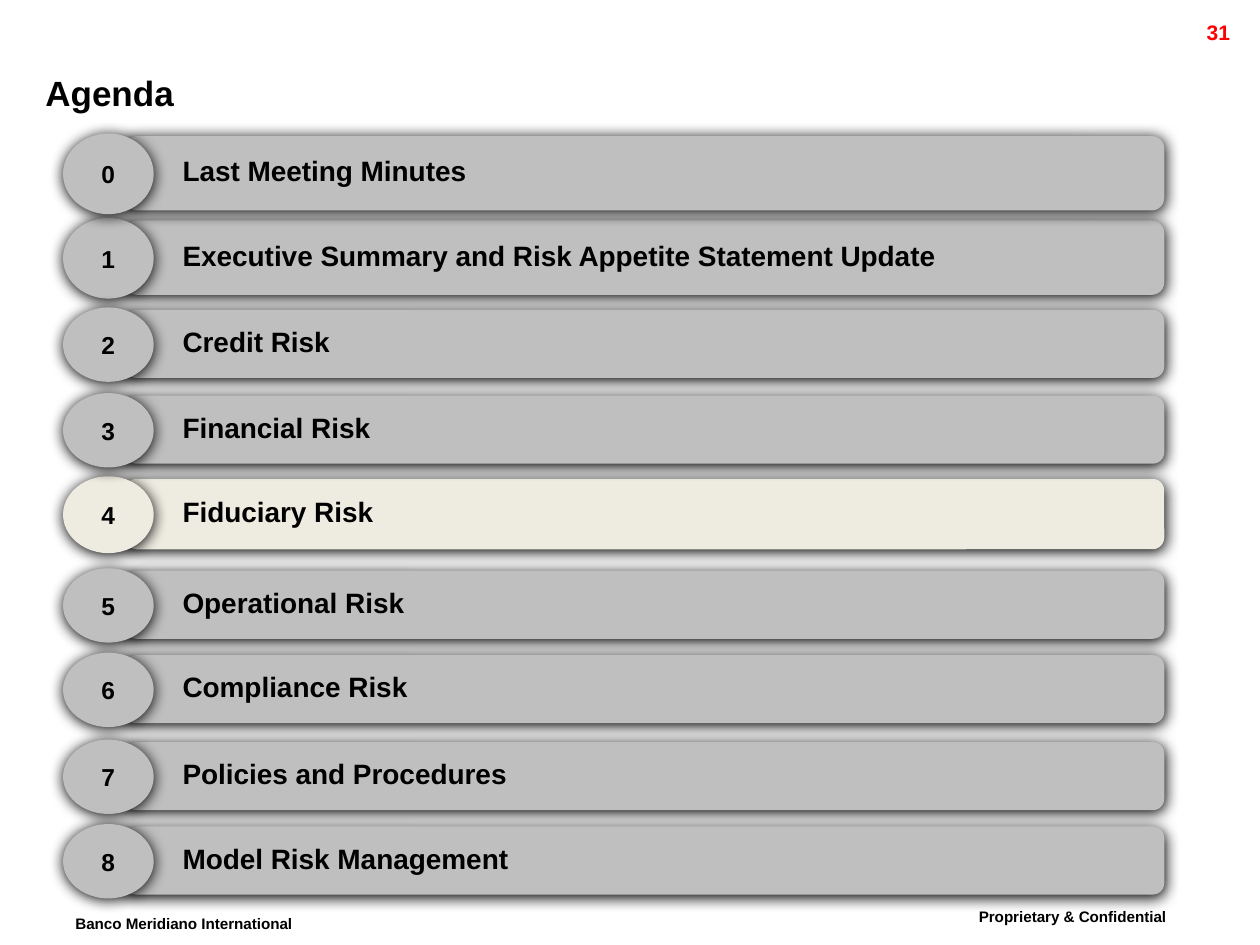
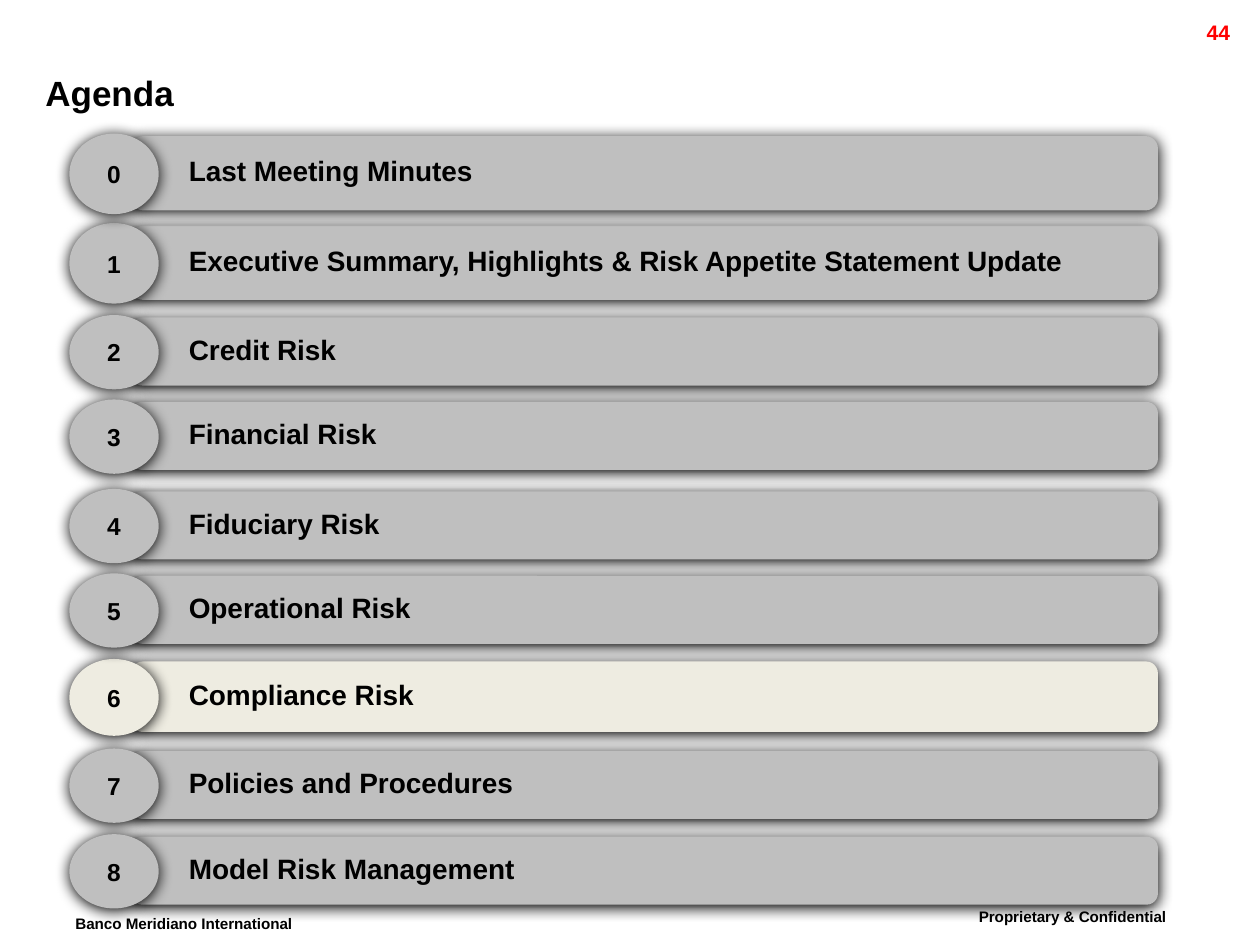
"""Build two agenda slides, each with its current topic highlighted."""
from dataclasses import dataclass

from lxml import etree
from pptx import Presentation
from pptx.dml.color import RGBColor
from pptx.enum.shapes import MSO_SHAPE
from pptx.enum.text import MSO_ANCHOR, PP_ALIGN
from pptx.oxml.ns import qn
from pptx.slide import Slide
from pptx.util import Inches, Pt

BAR, OVAL = MSO_SHAPE.ROUNDED_RECTANGLE, MSO_SHAPE.OVAL
TOP, MIDDLE = MSO_ANCHOR.TOP, MSO_ANCHOR.MIDDLE
LEFT, CENTER, RIGHT = PP_ALIGN.LEFT, PP_ALIGN.CENTER, PP_ALIGN.RIGHT

COLORS = {"text": "000000", "page": "FF0000", "topic": "BFBFBF",
          "current": "EEECE1", "shadow": "000000"}
FONT = {"name": "Arial", "bold": True}
SIZES = {"title": 20, "label": 16, "number": 14, "page": 12, "footer": 15}
SHADOW = {"blurRad": Pt(8.5), "dist": Pt(1), "dir": 90 * 60000,
          "algn": "ctr", "rotWithShape": 0}
MARGINS = ("margin_left", "margin_top", "margin_right", "margin_bottom")

TALL, CURRENT, NORMAL = 0.59, 0.56, 0.54
OVAL_RISE, OVAL_EXTRA = 0.02, 0.05
BAR_OFFSET, LABEL_OFFSET = 0.49, 0.85
NUMBER_HEIGHT = 0.32


@dataclass(frozen=True)
class Box:
    left: float
    top: float
    width: float
    height: float

    def emu(self) -> list[int]:
        return [Inches(v) for v in (self.left, self.top, self.width, self.height)]


@dataclass(frozen=True)
class Agenda:
    page: str
    left: float
    oval_width: float
    bar_width: float
    current: int
    summary: str
    tops: tuple[float, ...]

    def topics(self) -> list[str]:
        return ["Last Meeting Minutes", self.summary, "Credit Risk",
                "Financial Risk", "Fiduciary Risk", "Operational Risk",
                "Compliance Risk", "Policies and Procedures",
                "Model Risk Management"]


AGENDAS = (
    Agenda("31", 0.5, 0.72, 8.25, 4,
           "Executive Summary and Risk Appetite Statement Update",
           (1.08, 1.75, 2.46, 3.14, 3.8, 4.53, 5.2, 5.89, 6.56)),
    Agenda("44", 0.55, 0.71, 8.15, 6,
           "Executive Summary, Highlights & Risk Appetite Statement Update",
           (1.08, 1.79, 2.52, 3.19, 3.9, 4.57, 5.25, 5.96, 6.64)),
)


def add_text(s: Slide, box: Box, text: str, style: str, color: str = "text",
             align: PP_ALIGN = LEFT, anchor: MSO_ANCHOR = TOP,
             wrap: bool = True, inset: bool = True, baseline: int = 0) -> None:
    tf = s.shapes.add_textbox(*box.emu()).text_frame
    tf.word_wrap, tf.vertical_anchor = wrap, anchor
    if not inset:
        for margin in MARGINS:
            setattr(tf, margin, 0)
    p = tf.paragraphs[0]
    p.alignment = align
    r = p.add_run()
    r.text = text
    for name, value in {**FONT, "size": Pt(SIZES[style])}.items():
        setattr(r.font, name, value)
    r.font.color.rgb = RGBColor.from_string(COLORS[color])
    if baseline:
        r._r.get_or_add_rPr().set("baseline", str(baseline * 1000))


def add_panel(s: Slide, kind: MSO_SHAPE, box: Box, color: str) -> None:
    sp = s.shapes.add_shape(kind, *box.emu())
    sp.fill.solid()
    sp.fill.fore_color.rgb = RGBColor.from_string(COLORS[color])
    sp.line.fill.background()
    sp.shadow.inherit = False
    effects = sp._element.spPr.find(qn("a:effectLst"))
    shadow = etree.SubElement(effects, qn("a:outerShdw"))
    for name, value in SHADOW.items():
        shadow.set(name, str(value))
    etree.SubElement(shadow, qn("a:srgbClr")).set("val", COLORS["shadow"])


def add_topic(s: Slide, agenda: Agenda, i: int) -> None:
    is_current = i == agenda.current
    height = CURRENT if is_current else TALL if i < 2 else NORMAL
    color = "current" if is_current else "topic"
    left, top = agenda.left, agenda.tops[i]
    oval = Box(left, top - OVAL_RISE, agenda.oval_width, height + OVAL_EXTRA)
    number_width = 0.56 if height == NORMAL else 0.4
    number = Box(left + (oval.width - number_width) / 2,
                 oval.top + (oval.height - NUMBER_HEIGHT) / 2,
                 number_width, NUMBER_HEIGHT)
    add_panel(s, BAR, Box(left + BAR_OFFSET, top, agenda.bar_width, height), color)
    add_text(s, Box(left + LABEL_OFFSET, top + 0.01, agenda.bar_width - 0.06,
                    height - 0.06), agenda.topics()[i], "label", anchor=MIDDLE)
    add_panel(s, OVAL, oval, color)
    add_text(s, number, str(i), "number", align=CENTER, anchor=MIDDLE)


def add_frame(s: Slide, page: str) -> None:
    add_text(s, Box(7.67, 7.13, 2.18, 0.35), "Proprietary & Confidential",
             "footer", baseline=30)
    add_text(s, Box(0.5, 7.18, 2.23, 0.35), "Banco Meridiano International",
             "footer", wrap=False, baseline=30)
    add_text(s, Box(8.91, 0.11, 0.95, 0.24), page, "page", "page", RIGHT)
    add_text(s, Box(0.36, 0.49, 9.02, 0.48), "Agenda", "title",
             anchor=MIDDLE, inset=False)


def main() -> None:
    prs = Presentation()
    prs.slide_width, prs.slide_height = Inches(10), Inches(7.5)
    for agenda in AGENDAS:
        s = prs.slides.add_slide(prs.slide_layouts[6])
        add_frame(s, agenda.page)
        others = [i for i in range(1, len(agenda.tops)) if i != agenda.current]
        for i in (agenda.current, *others, 0):
            add_topic(s, agenda, i)
    prs.save("out.pptx")


if __name__ == "__main__":
    main()
